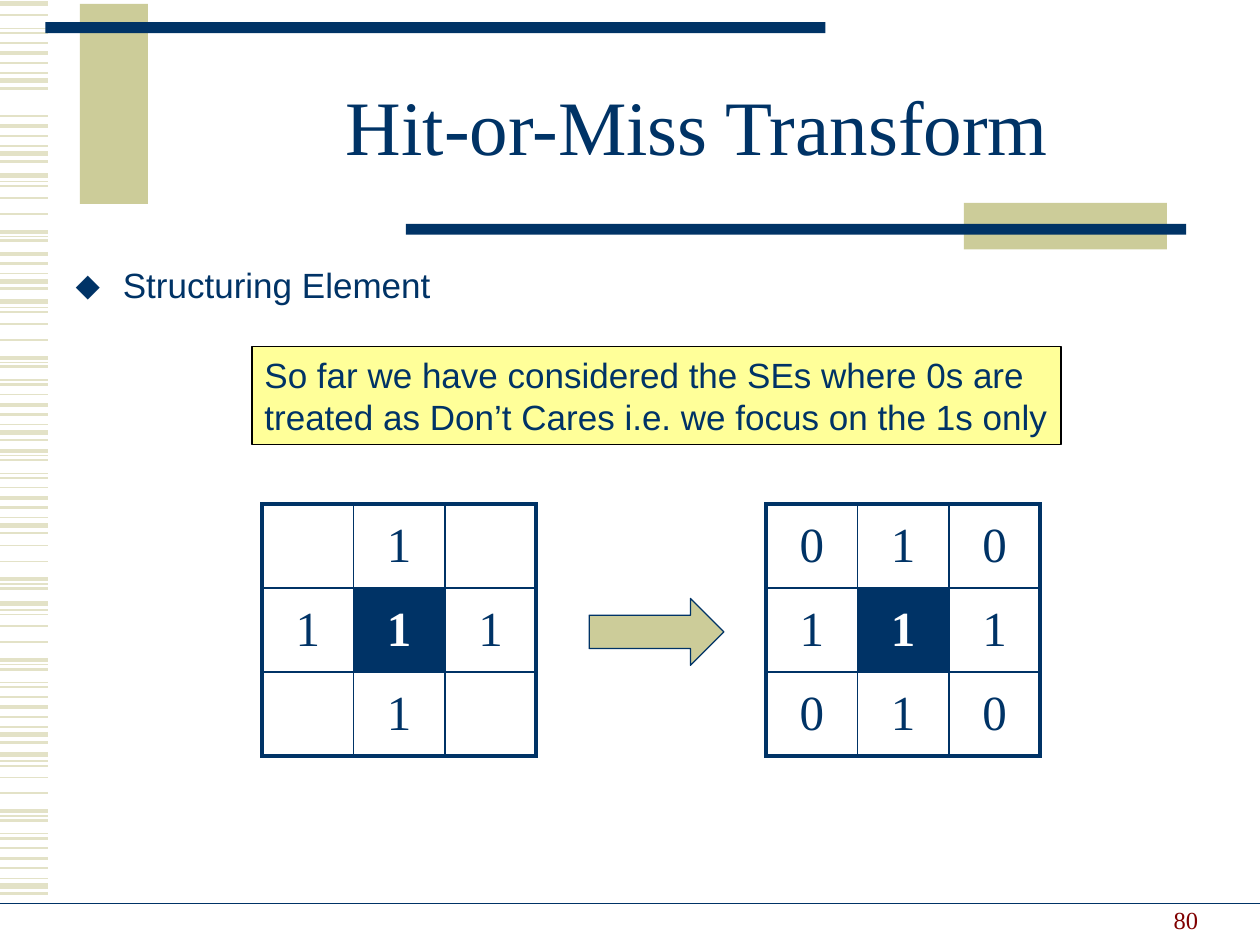
from lxml import etree
from pptx import Presentation
from pptx.dml.color import RGBColor
from pptx.enum import shapes, text
from pptx.oxml import ns
from pptx.util import Pt

NAVY, KHAKI, PALE_KHAKI = "003366", "CCCC99", "E3E2C7"
SERIF, SANS = "Times New Roman", "Arial"


def color(hex_string):
    return RGBColor.from_string(hex_string)


def write(frame, words, font, paragraph_format):
    """Put one formatted paragraph into a text frame."""
    paragraph = frame.paragraphs[0]
    run = paragraph.add_run()
    run.text = words
    for name, value in paragraph_format.items():
        setattr(paragraph, name, value)
    for name, value in font.items():
        if name == "color":
            run.font.color.rgb = color(value)
        else:
            setattr(run.font, name, value)
    return paragraph


presentation = Presentation()
presentation.slide_width, presentation.slide_height = Pt(720), Pt(540)
slide = presentation.slides.add_slide(presentation.slide_layouts[1])

# Margin stripes: two repeating bands of (offset, line width)
short_band = [(0, 1), (6, 2.25), (11.5, 1.5), (17.3, 0.75), (21.7, 3), (26, 1.5)]
long_band = [(0, 3), (3.6, 0.75), (6.3, 1), (13, 1), (22, 1),
             (32.3, 2.25), (35, 0.75), (37.5, 1.5), (45, 0.75), (47.7, 1.5)]
bands = [(top, short_band) for top in (24.5, 66.2, 225.4, 278.6, 398.2, 484.6)]
bands += [(top, long_band) for top in (172.1, 344.9, 431.3)]
bands += [(-19.5, short_band[4:5]), (139, short_band[1:]),
          (-28.8, long_band[7:]), (100.1, long_band[:8]),
          (225.4, long_band[5:]), (298.8, long_band[3:8])]
lines = [(-24, 27.2, top + offset, width, PALE_KHAKI)
         for top, band in bands for offset, width in band]
lines.append((0, 720, 516.2, 0.75, NAVY))  # footer rule

for left, right, y, width, line_color in lines:
    line = slide.shapes.add_connector(
        shapes.MSO_CONNECTOR.STRAIGHT, Pt(left), Pt(y), Pt(right), Pt(y))
    line.line.width = Pt(width)
    line.line.color.rgb = color(line_color)
    etree.SubElement(line._element.spPr, ns.qn("a:effectLst"))

# Title bars, note box and arrow: kind, position, fill, outline
rectangle = shapes.MSO_SHAPE.RECTANGLE
blocks = [
    (rectangle, (45.6, 2.2, 38.9, 114.3), KHAKI, None),
    (rectangle, (25.9, 12.7, 445.8, 6.2), NAVY, None),
    (rectangle, (550.8, 116, 116, 26.6), KHAKI, None),
    (rectangle, (232, 127.9, 445.8, 6.2), NAVY, None),
    (rectangle, (144, 198, 462.3, 56), "FFFF99", "000000"),
    (shapes.MSO_SHAPE.RIGHT_ARROW, (336.7, 342, 77, 38.2), KHAKI, NAVY),
]
drawn = []
for kind, box, fill, outline in blocks:
    shape = slide.shapes.add_shape(kind, *map(Pt, box))
    shape.shadow.inherit = False
    shape.fill.solid()
    shape.fill.fore_color.rgb = color(fill)
    if outline:
        shape.line.color.rgb = color(outline)
        shape.line.width = Pt(0.75)
    else:
        shape.line.fill.background()
    drawn.append(shape)
note, arrow = drawn[4:]
arrow.adjustments[0] = arrow.adjustments[1] = 0.5

# Texts
title, body = slide.shapes.title, slide.placeholders[1]
number = slide.shapes.add_textbox(0, 0, 0, 0)
sans_font = {"name": SANS, "size": Pt(20), "color": NAVY}
left, center, right = text.PP_ALIGN.LEFT, text.PP_ALIGN.CENTER, text.PP_ALIGN.RIGHT
top, middle, bottom = (text.MSO_ANCHOR.TOP, text.MSO_ANCHOR.MIDDLE,
                       text.MSO_ANCHOR.BOTTOM)

for shape, box, anchor in [(title, (108, 30.2, 581, 90), middle),
                           (body, (36, 149.8, 648, 18), top),
                           (number, (519, 501.8, 172.8, 36), bottom),
                           (note, (144, 198, 462.3, 56), middle)]:
    shape.left, shape.top, shape.width, shape.height = map(Pt, box)
    frame = shape.text_frame
    frame.word_wrap = True
    frame.auto_size = text.MSO_AUTO_SIZE.NONE
    frame.vertical_anchor = anchor

write(title.text_frame, "Hit-or-Miss Transform",
      {"name": SERIF, "size": Pt(44), "color": NAVY},
      {"alignment": center, "line_spacing": 0.85})
write(number.text_frame, "80",
      {"name": SERIF, "size": Pt(14), "color": "800000"}, {"alignment": right})
write(note.text_frame,
      "So far we have considered the SEs where 0s are treated as Don’t Cares "
      "i.e. we focus on the 1s only", sans_font, {"alignment": left})
item = write(body.text_frame, "Structuring Element", sans_font,
             {"line_spacing": 0.9, "space_before": Pt(0)})
properties = item._p.get_or_add_pPr()
properties.set("marL", str(Pt(27)))
properties.set("indent", str(Pt(-27)))
bullet_color = etree.SubElement(properties, ns.qn("a:buClr"))
etree.SubElement(bullet_color, ns.qn("a:srgbClr"), val=NAVY)
etree.SubElement(properties, ns.qn("a:buChar"), char="⬥")

# Structuring elements: the 3 by 3 grids, centre cell inverted
for grid_left, grid in [(437.8, ["010", "111", "010"]),
                        (149.8, [" 1 ", "111", " 1 "])]:
    table = slide.shapes.add_table(
        3, 3, Pt(grid_left), Pt(288), Pt(156.6), Pt(144)).table
    table.first_row = table.horz_banding = False
    for i in range(3):
        table.columns[i].width = Pt(52.2)
        table.rows[i].height = Pt(48)
    for row, values in enumerate(grid):
        for column, value in enumerate(values):
            cell = table.cell(row, column)
            cell.vertical_anchor = middle
            is_origin = row == column == 1
            if value.strip():
                write(cell.text_frame, value,
                      {"name": SERIF, "size": Pt(28), "bold": is_origin,
                       "color": "FFFFFF" if is_origin else NAVY},
                      {"alignment": center})
            cell_properties = cell._tc.get_or_add_tcPr()
            for side, is_outer in [("L", column == 0), ("R", column == 2),
                                   ("T", row == 0), ("B", row == 2)]:
                border = etree.SubElement(cell_properties, ns.qn("a:ln" + side),
                                          w=str(Pt(2.25 if is_outer else 1)))
                border_fill = etree.SubElement(border, ns.qn("a:solidFill"))
                etree.SubElement(border_fill, ns.qn("a:srgbClr"), val=NAVY)
            if is_origin:
                cell.fill.solid()
                cell.fill.fore_color.rgb = color(NAVY)
            else:
                cell.fill.background()

presentation.save("out.pptx")
